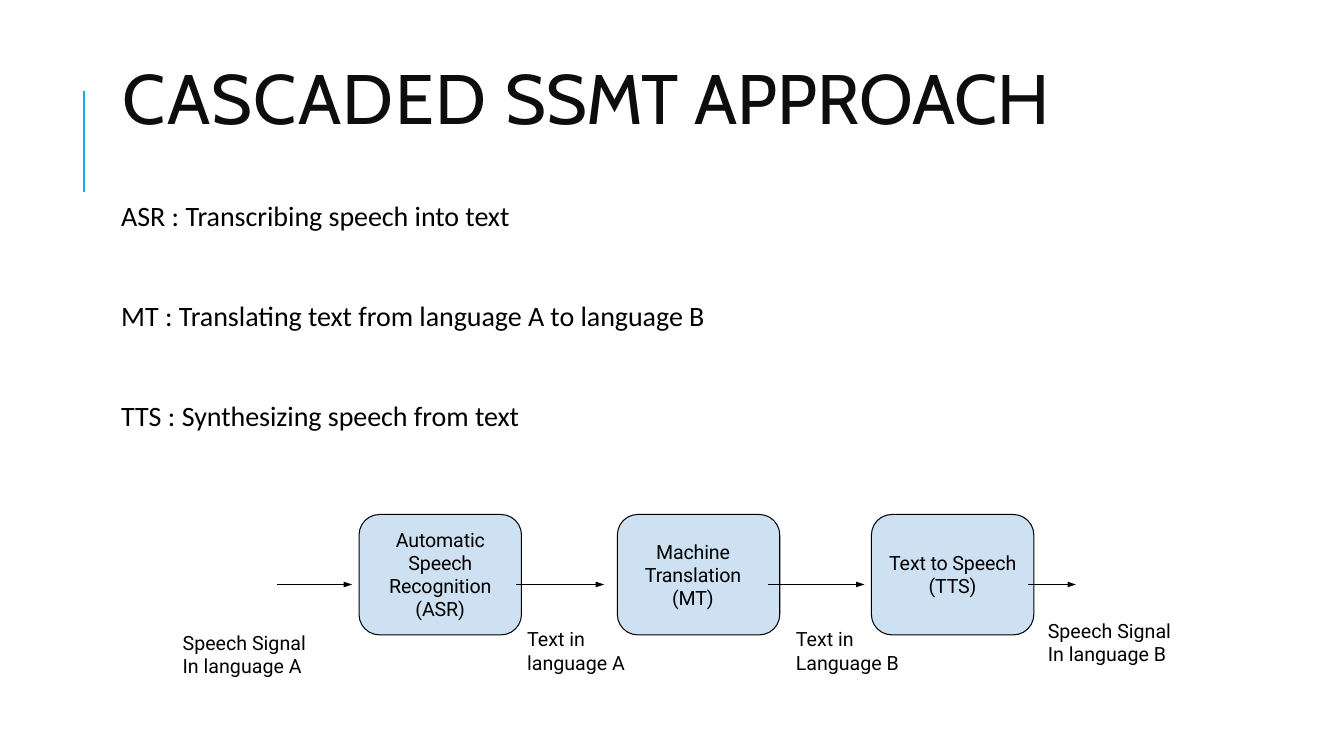
"""Build the slide on the cascaded speech-to-speech translation approach."""
from lxml.etree import SubElement
from pptx import Presentation
from pptx.dml.color import RGBColor
from pptx.enum.shapes import MSO_CONNECTOR, MSO_SHAPE
from pptx.enum.text import MSO_ANCHOR, MSO_AUTO_SIZE, PP_ALIGN
from pptx.oxml.ns import qn
from pptx.util import Pt

COLORS = {"accent": "1CADE4", "title": "0D0D0D", "text": "000000", "stage": "CEE1F3"}


def write(paragraph, text, font, size, color, spacing=0):
    run = paragraph.add_run()
    run.text = text
    run.font.name = font
    run.font.size = Pt(size)
    run.font.color.rgb = RGBColor.from_string(COLORS[color])
    run._r.get_or_add_rPr().set("spc", str(spacing))


def draw_line(x1, y1, x2, y2, color, width):
    line = slide.shapes.add_connector(
        MSO_CONNECTOR.STRAIGHT, Pt(x1), Pt(y1), Pt(x2), Pt(y2))
    line.line.color.rgb = RGBColor.from_string(COLORS[color])
    line.line.width = Pt(width)
    SubElement(line._element.spPr, qn("a:effectLst"))
    return line


prs = Presentation()
prs.slide_width, prs.slide_height = Pt(960), Pt(540)
slide = prs.slides.add_slide(prs.slide_layouts[1])

draw_line(60, 137, 60, 65, "accent", 1.5)

title = slide.shapes.title
title.left, title.top, title.width, title.height = Pt(80.5), Pt(15.5), Pt(765), Pt(118)
title.text_frame.vertical_anchor = MSO_ANCHOR.MIDDLE
title.text_frame.auto_size = MSO_AUTO_SIZE.NONE
heading = title.text_frame.paragraphs[0]
heading.alignment = PP_ALIGN.LEFT
heading.line_spacing = 0.8
write(heading, "CASCADED ", "Cabin", 50, "title", 100)
write(heading, "SSMT APPROACH", "Cabin", 50, "title", -10)

definitions = [
    ("ASR : ", "Transcribing speech into text"),
    ("MT : ", "Translating text from language A to language B"),
    ("TTS : ", "Synthesizing speech from text"),
]
body = slide.placeholders[1]
body.left, body.top, body.width, body.height = Pt(80.5), Pt(141), Pt(765), Pt(180)
frame = body.text_frame
frame.auto_size = MSO_AUTO_SIZE.NONE
frame.margin_left, frame.margin_top = Pt(6), Pt(0.5)
frame.margin_right = frame.margin_bottom = 0
for row, (term, meaning) in enumerate(definitions):
    paragraph = frame.add_paragraph() if row else frame.paragraphs[0]
    properties = paragraph._p.get_or_add_pPr()
    properties.set("marL", "0")
    properties.set("indent", "0")
    SubElement(properties, qn("a:buNone"))
    paragraph.line_spacing = 2.4 if row else 1.0
    paragraph.space_before = Pt(12 if row else 0)
    paragraph.space_after = Pt(2)
    write(paragraph, term, "Calibri", 20, "text")
    write(paragraph, meaning, "Calibri", 20, "text", -5)

stages = [
    (256.5, 16, 16, "Automatic Speech Recognition (ASR)"),
    (441, 11, 19, "Machine Translation (MT)"),
    (622.5, 7, 7, "Text to Speech (TTS)"),
]
for left, inset_left, inset_right, name in stages:
    stage = slide.shapes.add_shape(
        MSO_SHAPE.ROUNDED_RECTANGLE, Pt(left), Pt(367.5), Pt(116), Pt(86))
    stage.adjustments[0] = 0.17
    stage.shadow.inherit = False
    stage.fill.solid()
    stage.fill.fore_color.rgb = RGBColor.from_string(COLORS["stage"])
    stage.line.color.rgb = RGBColor.from_string(COLORS["text"])
    stage.line.width = Pt(0.75)
    frame = stage.text_frame
    frame.word_wrap = True
    frame.vertical_anchor = MSO_ANCHOR.MIDDLE
    frame.margin_left, frame.margin_right = Pt(inset_left), Pt(inset_right)
    frame.margin_top = frame.margin_bottom = 0
    paragraph = frame.paragraphs[0]
    paragraph.alignment = PP_ALIGN.CENTER
    paragraph.line_spacing = Pt(16.5)
    write(paragraph, name, "Roboto", 14, "text", -10)

signals = [
    (130.5, 449.5, 92, "Speech Signal In language A"),
    (376.5, 447, 74, "Text in language A"),
    (568.5, 447, 78, "Text in Language B"),
    (748.5, 441, 92, "Speech Signal In language B"),
]
for left, top, width, name in signals:
    label = slide.shapes.add_textbox(Pt(left), Pt(top), Pt(width), Pt(35))
    frame = label.text_frame
    frame.word_wrap = True
    frame.margin_left = frame.margin_right = frame.margin_bottom = 0
    frame.margin_top = Pt(1)
    write(frame.paragraphs[0], name, "Roboto", 14, "text")

for start, end in [(198, 251.5), (368.5, 431.5), (548.5, 617.5), (734.5, 768.5)]:
    arrow = draw_line(start, 417.5, end, 417.5, "text", 0.75)
    SubElement(arrow.line._get_or_add_ln(), qn("a:tailEnd"),
               type="triangle", w="sm", len="med")

prs.save("out.pptx")
